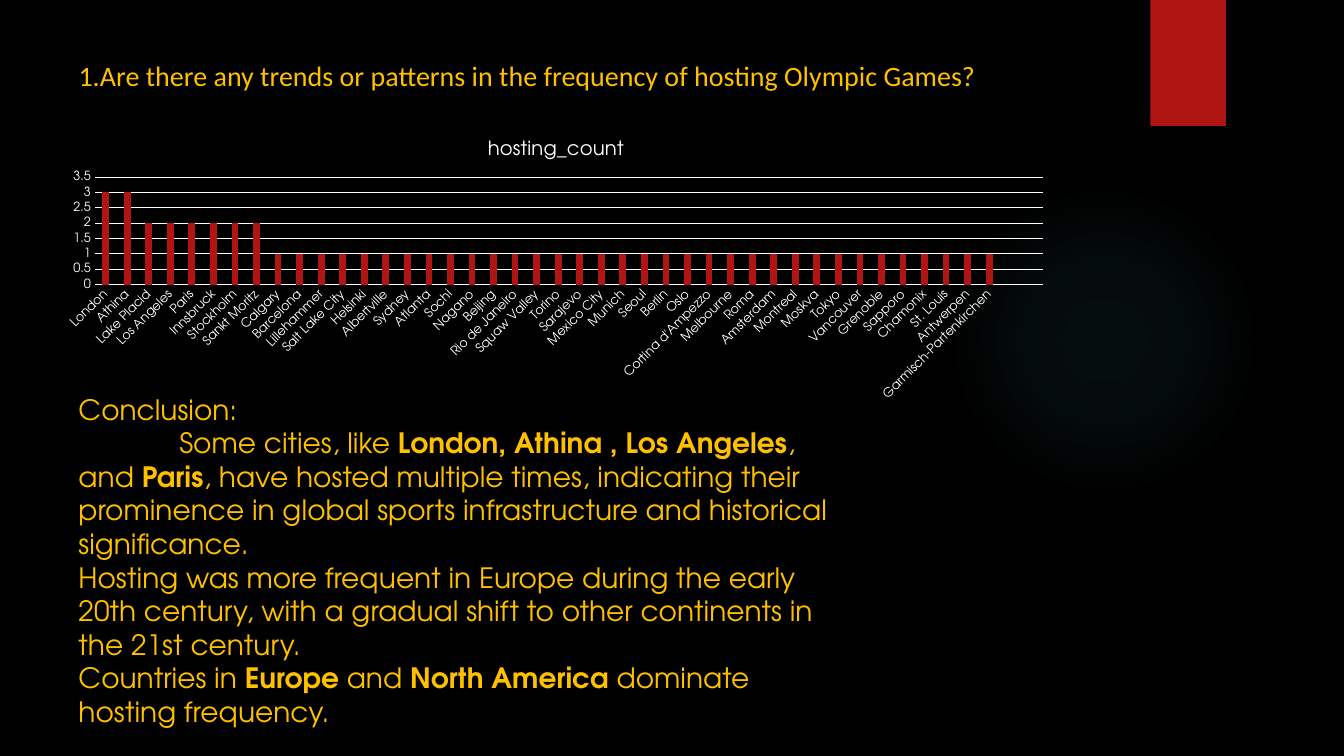
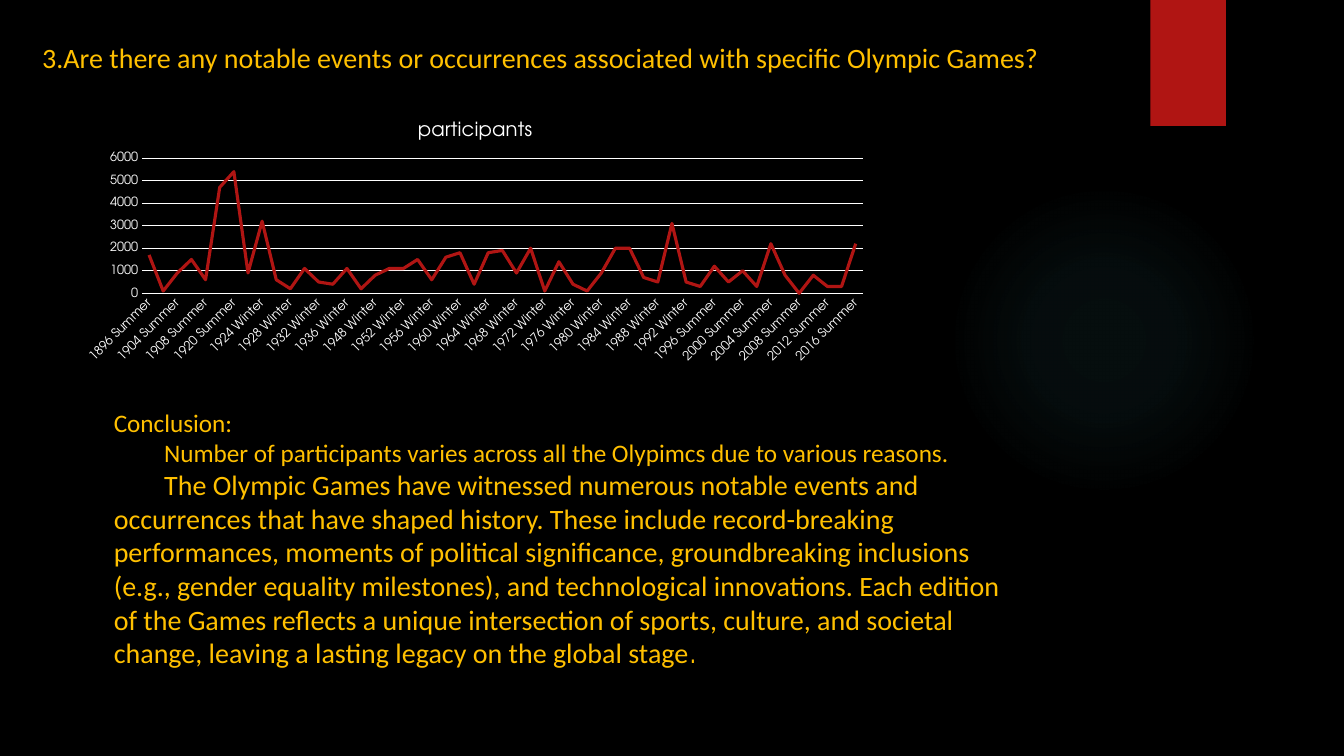
from pptx import Presentation
from pptx.chart.data import CategoryChartData
from pptx.dml.color import RGBColor
from pptx.enum.chart import XL_CHART_TYPE, XL_MARKER_STYLE, XL_TICK_MARK
from pptx.enum.shapes import MSO_SHAPE
from pptx.oxml import parse_xml
from pptx.oxml.ns import nsdecls
from pptx.util import Pt

COLORS = {"back": "000000", "accent": "B01513", "glow": "50B9C1",
          "text": "FFC000", "chart": "FFFFFF"}
SANS, GEOMETRIC = "Calibri", "TeX Gyre Adventor"
GLOW_STOPS = [(0, 7), (36, 6), (69, 0)]  # position and opacity, percent

HOSTS = [
    "London", "Athina", "Lake Placid", "Los Angeles", "Paris", "Innsbruck",
    "Stockholm", "Sankt Moritz", "Calgary", "Barcelona", "Lillehammer",
    "Salt Lake City", "Helsinki", "Albertville", "Sydney", "Atlanta", "Sochi",
    "Nagano", "Beijing", "Rio de Janeiro", "Squaw Valley", "Torino", "Sarajevo",
    "Mexico City", "Munich", "Seoul", "Berlin", "Oslo", "Cortina d'Ampezzo",
    "Melbourne", "Roma", "Amsterdam", "Montreal", "Moskva", "Tokyo",
    "Vancouver", "Grenoble", "Sapporo", "Chamonix", "St. Louis", "Antwerpen",
    "Garmisch-Partenkirchen", "", ""]
HOST_COUNTS = [3] * 2 + [2] * 6 + [1] * 34 + [None] * 2

# Years with both games list the summer games first
SUMMER_ONLY = [1896, 1900, 1904, 1906, 1908, 1912, 1920]
BOTH = [1924, 1928, 1932, 1936, *range(1948, 1993, 4)]
ALTERNATING = range(1994, 2017, 2)
GAMES = ([f"{year} Summer" for year in SUMMER_ONLY]
         + [f"{year} {season}" for year in BOTH for season in ("Summer", "Winter")]
         + [f"{year} {'Winter' if year % 4 else 'Summer'}" for year in ALTERNATING])
PARTICIPANTS = [
    1700, 100, 900, 1500, 600, 4700, 5400, 900, 3200, 600, 200, 1100, 500,
    400, 1100, 200, 800, 1100, 1100, 1500, 600, 1600, 1800, 400, 1800, 1900,
    900, 2000, 100, 1400, 400, 100, 900, 2000, 2000, 700, 500, 3100, 500, 300,
    1200, 500, 1000, 300, 2200, 800, 0, 800, 300, 300, 2200]


def color(name):
    return RGBColor.from_string(COLORS[name])


def style_font(font, size, name, color_name, bold=False):
    font.size, font.name, font.bold = Pt(size), name, bold
    font.color.rgb = color(color_name)


def add_plain_shape(slide, kind, box):
    sp = slide.shapes.add_shape(kind, *map(Pt, box))
    sp.shadow.inherit = False
    sp.line.fill.background()
    return sp


def add_decor(slide):
    # Soft round glow
    glow = add_plain_shape(slide, MSO_SHAPE.OVAL, (677.5, 131.8, 221.8, 221.8))
    stops = "".join(
        f'<a:gs pos="{pos * 1000}"><a:srgbClr val="{COLORS["glow"]}">'
        f'<a:alpha val="{alpha * 1000}"/></a:srgbClr></a:gs>'
        for pos, alpha in GLOW_STOPS)
    glow.fill.background()
    no_fill = glow.element.spPr.find(
        "{http://schemas.openxmlformats.org/drawingml/2006/main}noFill")
    no_fill.getparent().replace(no_fill, parse_xml(
        f'<a:gradFill {nsdecls("a")} rotWithShape="1"><a:gsLst>{stops}</a:gsLst>'
        '<a:path path="circle"><a:fillToRect l="50000" t="50000" r="50000"'
        ' b="50000"/></a:path></a:gradFill>'))
    # Red tab at the top edge
    tab = add_plain_shape(slide, MSO_SHAPE.RECTANGLE, (821.7, 0, 54, 90))
    tab.fill.solid()
    tab.fill.fore_color.rgb = color("accent")


def add_text(slide, box, paragraphs):
    """Each paragraph is (first-line indent, [(text, size, font, bold), ...])."""
    tf = slide.shapes.add_textbox(*map(Pt, box)).text_frame
    tf.word_wrap = True
    for i, (indent, runs) in enumerate(paragraphs):
        p = tf.paragraphs[0] if i == 0 else tf.add_paragraph()
        if indent:
            p._p.get_or_add_pPr().set("indent", str(Pt(indent)))
        for text, size, font, bold in runs:
            r = p.add_run()
            r.text = text
            style_font(r.font, size, font, "text", bold)


def add_title(slide, box, text):
    add_text(slide, box, [(0, [(text, 20, SANS, False)])])


def add_axis_style(axis, line):
    axis.major_tick_mark = axis.minor_tick_mark = XL_TICK_MARK.NONE
    style_font(axis.tick_labels.font, 9, GEOMETRIC, "chart")
    if line:
        line.color.rgb = color("chart")
        line.width = Pt(0.75)


def add_data_chart(slide, box, kind, name, categories, values, top, step):
    data = CategoryChartData()
    data.categories = categories
    data.add_series(name, values)
    chart = slide.shapes.add_chart(kind, *map(Pt, box), data).chart
    style_font(chart.font, 10, GEOMETRIC, "chart")
    chart.has_legend = False
    # Title
    chart.has_title = True
    r = chart.chart_title.text_frame.paragraphs[0].add_run()
    r.text = name
    style_font(r.font, 14, GEOMETRIC, "chart")
    chart.chart_title.include_in_layout = False
    # Axes
    cat, val = chart.category_axis, chart.value_axis
    add_axis_style(cat, cat.format.line)
    cat._element.txPr.bodyPr.set("rot", "-2700000")
    val.has_major_gridlines = True
    add_axis_style(val, val.major_gridlines.format.line)
    val.format.line.fill.background()
    val.minimum_scale, val.maximum_scale, val.major_unit = 0, top, step
    # Series
    plot = chart.plots[0]
    plot.vary_by_categories = False
    series = plot.series[0]
    if kind == XL_CHART_TYPE.LINE:
        series.smooth = False
        series.marker.style = XL_MARKER_STYLE.NONE
        series.format.line.color.rgb = color("accent")
        series.format.line.width = Pt(2.25)
    else:
        plot.gap_width, plot.overlap = 219, -27
        series.format.fill.solid()
        series.format.fill.fore_color.rgb = color("accent")


def add_slide(prs):
    slide = prs.slides.add_slide(prs.slide_layouts[6])
    add_decor(slide)
    return slide


def build_hosting(prs):
    def run(text, bold=False):
        return text, 20, GEOMETRIC, bold

    slide = add_slide(prs)
    add_title(slide, (49, 38.2, 747, 80),
              "1.Are there any trends or patterns in the frequency of hosting Olympic Games?")
    add_data_chart(slide, (34.6, 88.6, 725, 201.6), XL_CHART_TYPE.COLUMN_CLUSTERED,
                   "hosting_count", HOSTS, HOST_COUNTS, 3.5, 0.5)
    add_text(slide, (49, 276.5, 557.3, 271.4), [
        (0, [run("Conclusion:")]),
        (72, [run("Some cities, like "), run("London, Athina , Los Angeles", True),
              run(", and "), run("Paris", True),
              run(", have hosted multiple times, indicating their prominence in "
                  "global sports infrastructure and historical significance.")]),
        (0, [run("Hosting was more frequent in Europe during the early 20th century, "
                 "with a gradual shift to other continents in the 21st century.")]),
        (0, [run("Countries in "), run("Europe", True), run(" and "),
             run("North America", True), run(" dominate hosting frequency.")])])


def build_participants(prs):
    slide = add_slide(prs)
    add_title(slide, (23, 25.2, 769, 80),
              "3.Are there any notable events or occurrences associated with "
              "specific Olympic Games?")
    add_data_chart(slide, (51.1, 75.6, 576.7, 187.2), XL_CHART_TYPE.LINE,
                   "participants", GAMES, PARTICIPANTS, 6000, 1000)
    add_text(slide, (74.2, 287.3, 650.9, 242.6), [
        (0, [("Conclusion:", 18, SANS, False)]),
        (36, [("Number of participants varies across all the Olypimcs due to "
               "various reasons.", 18, SANS, False)]),
        (36, [("The Olympic Games have witnessed numerous notable events and "
               "occurrences that have shaped history. These include record-breaking "
               "performances, moments of political significance, groundbreaking "
               "inclusions (e.g., gender equality milestones), and technological "
               "innovations. Each edition of the Games reflects a unique intersection "
               "of sports, culture, and societal change, leaving a lasting legacy on "
               "the global stage", 20, SANS, False),
              (".", 20, GEOMETRIC, False)])])


def main():
    prs = Presentation()
    prs.slide_width, prs.slide_height = Pt(960), Pt(540)
    # Black background for every slide
    back = prs.slide_master.background.fill
    back.solid()
    back.fore_color.rgb = color("back")
    build_hosting(prs)
    build_participants(prs)
    prs.save("out.pptx")


if __name__ == "__main__":
    main()
